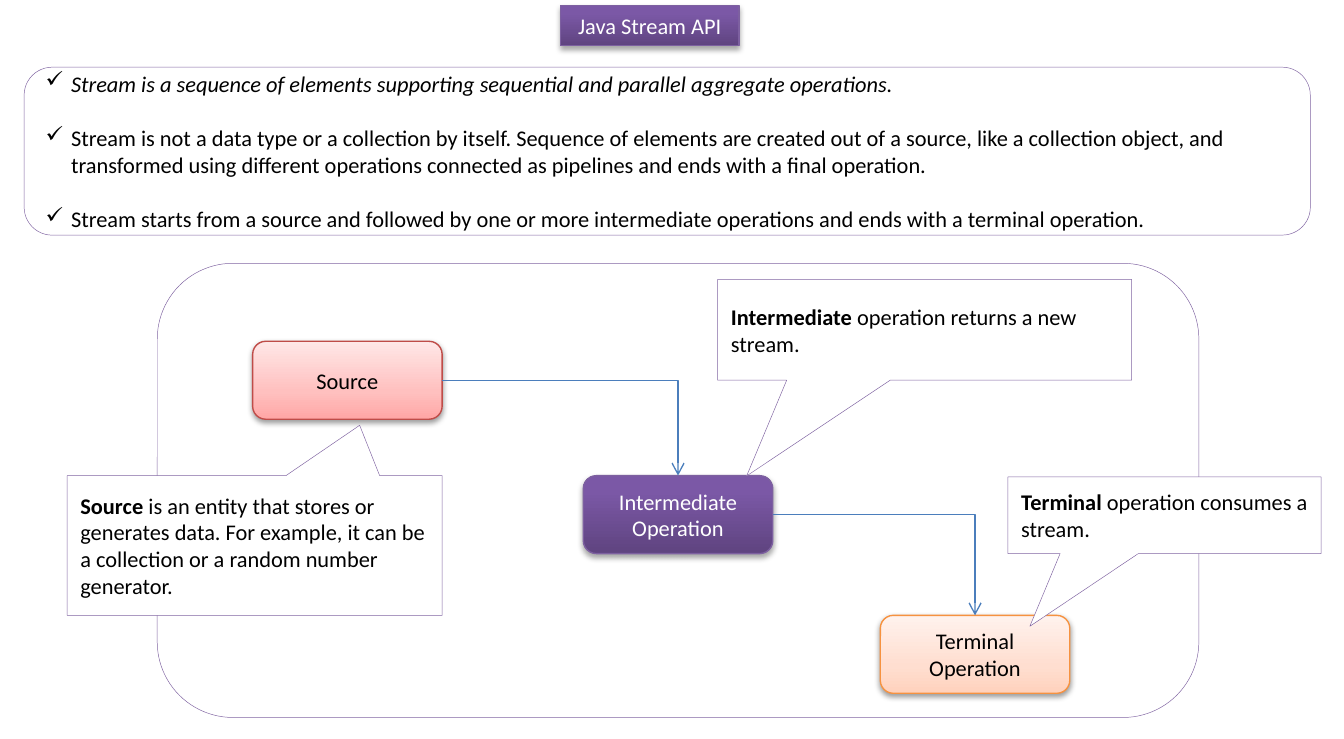
from lxml.etree import SubElement
from pptx import Presentation
from pptx.dml.color import RGBColor
from pptx.enum.shapes import MSO_CONNECTOR, MSO_SHAPE
from pptx.enum.text import MSO_ANCHOR, MSO_AUTO_SIZE, PP_ALIGN
from pptx.oxml.ns import qn
from pptx.util import Inches, Pt

COLORS = {
    "white": "FFFFFF",
    "black": "000000",
    "outline": "8064A2",
    "arrow": "4B7EBC",
}
# Each theme: gradient stops from bottom to top, line, text, shadow opacity and distance
THEMES = {
    "purple": ([(0, "5F4480"), (80, "7B58A6"), (100, "7C57A8")], "7D60A0", "white", 35, 1.8),
    "red": ([(0, "FFA6A5"), (35, "FFC0BF"), (100, "FFE7E7")], "BF4C48", "black", 38, 1.6),
    "orange": ([(0, "FFD2BD"), (35, "FFDED0"), (100, "FFF2ED")], "F69240", "black", 38, 1.6),
}


def add_text(paragraph, text, color="black", size=12, bold=False, italic=False):
    run = paragraph.add_run()
    run.text = text
    run.font.name = "Calibri"
    run.font.size = Pt(size)
    run.font.bold = bold
    run.font.italic = italic
    run.font.color.rgb = RGBColor.from_string(COLORS[color])


def add_color(parent, value, opacity=None):
    color = SubElement(parent, qn("a:srgbClr"), val=value)
    if opacity is not None:
        SubElement(color, qn("a:alpha"), val=str(opacity * 1000))


class SlideBuilder:
    font_size = 12
    outline_width = 0.25
    box_line_width = 0.75

    def __init__(self, slide):
        self.slide = slide

    def outlined(self, kind, left, top, width, height):
        """White shape with a hairline outline and left-aligned text."""
        shape = self.slide.shapes.add_shape(
            kind, Inches(left), Inches(top), Inches(width), Inches(height))
        shape.shadow.inherit = False
        shape.fill.solid()
        shape.fill.fore_color.rgb = RGBColor.from_string(COLORS["white"])
        shape.line.color.rgb = RGBColor.from_string(COLORS["outline"])
        shape.line.width = Pt(self.outline_width)
        shape.text_frame.word_wrap = True
        shape.text_frame.vertical_anchor = MSO_ANCHOR.MIDDLE
        shape.text_frame.paragraphs[0].alignment = PP_ALIGN.LEFT
        return shape

    def apply_theme(self, shape, theme, text):
        """Gradient, line, soft shadow and centred label."""
        stops, line_color, text_color, opacity, distance = THEMES[theme]
        shape.fill.gradient()
        shape.fill.gradient_angle = 90
        properties = shape.element.spPr
        stop_list = properties.find(qn("a:gradFill")).find(qn("a:gsLst"))
        for stop in list(stop_list):
            stop_list.remove(stop)
        for position, color in stops:
            add_color(SubElement(stop_list, qn("a:gs"), pos=str(position * 1000)), color)
        shape.line.color.rgb = RGBColor.from_string(line_color)
        shape.line.width = Pt(self.box_line_width)

        effects = properties.find(qn("a:effectLst"))
        if effects is None:
            effects = SubElement(properties, qn("a:effectLst"))
        shadow = SubElement(effects, qn("a:outerShdw"), blurRad=str(Pt(3.1)),
                            dist=str(Pt(distance)), dir="5400000", rotWithShape="0")
        add_color(shadow, COLORS["black"], opacity)

        frame = shape.text_frame
        frame.word_wrap = True
        frame.vertical_anchor = MSO_ANCHOR.MIDDLE
        frame.paragraphs[0].alignment = PP_ALIGN.CENTER
        add_text(frame.paragraphs[0], text, color=text_color, size=self.font_size)

    def title(self, text, left, top, width, height):
        title = self.slide.shapes.title
        title.left, title.top = Inches(left), Inches(top)
        title.width, title.height = Inches(width), Inches(height)
        self.apply_theme(title, "purple", text)
        title.text_frame.auto_size = MSO_AUTO_SIZE.NONE

    def stage(self, text, theme, left, top):
        shape = self.slide.shapes.add_shape(
            MSO_SHAPE.ROUNDED_RECTANGLE, Inches(left), Inches(top), Inches(1.41), Inches(0.58))
        shape.shadow.inherit = False
        self.apply_theme(shape, theme, text)
        return shape

    def arrow(self, start, end):
        """Elbow from the right side of one stage to the top of the next."""
        connector = self.slide.shapes.add_connector(MSO_CONNECTOR.ELBOW, 0, 0, 0, 0)
        connector.begin_connect(start, 3)
        connector.end_connect(end, 0)
        connector.line.color.rgb = RGBColor.from_string(COLORS["arrow"])
        connector.line.width = Pt(self.box_line_width)
        properties = connector.element.spPr
        properties.find(qn("a:prstGeom")).set("prst", "bentConnector2")
        SubElement(properties.find(qn("a:ln")), qn("a:tailEnd"), type="arrow")
        SubElement(properties, qn("a:effectLst"))

    def callout(self, term, text, place, tip):
        shape = self.outlined(MSO_SHAPE.RECTANGULAR_CALLOUT, *place)
        shape.adjustments[0], shape.adjustments[1] = tip
        paragraph = shape.text_frame.paragraphs[0]
        add_text(paragraph, term, size=self.font_size, bold=True)
        add_text(paragraph, " " + text, size=self.font_size)

    def checklist(self, items, place):
        frame = self.outlined(MSO_SHAPE.ROUNDED_RECTANGLE, *place).text_frame
        for index, (text, italic) in enumerate(items):
            paragraph = frame.add_paragraph() if index else frame.paragraphs[0]
            paragraph.alignment = PP_ALIGN.LEFT
            if index:
                paragraph.space_before = Pt(14.65)
            properties = paragraph._p.get_or_add_pPr()
            properties.set("marL", str(Inches(0.19)))
            properties.set("indent", str(-Inches(0.19)))
            SubElement(properties, qn("a:buChar"), char="✓")
            add_text(paragraph, text, size=self.font_size, italic=italic)


def main():
    presentation = Presentation()
    presentation.slide_width = Inches(10)
    presentation.slide_height = Inches(5.5)
    builder = SlideBuilder(presentation.slides.add_slide(presentation.slide_layouts[5]))

    # Title and pipeline frame
    builder.title("Java Stream API", 4.17, 0.04, 1.33, 0.3)
    builder.outlined(MSO_SHAPE.ROUNDED_RECTANGLE, 1.17, 1.96, 7.75, 3.38)

    # Pipeline stages and arrows
    source = builder.stage("Source", "red", 1.88, 2.54)
    intermediate = builder.stage("Intermediate Operation", "purple", 4.34, 3.54)
    terminal = builder.stage("Terminal Operation", "orange", 6.55, 4.58)
    builder.arrow(source, intermediate)
    builder.arrow(intermediate, terminal)

    # Explanations
    builder.callout("Source", "is an entity that stores or generates data. For example, "
                    "it can be a collection or a random number generator.",
                    (0.5, 3.54, 2.79, 1.04), (0.28, -0.86))
    builder.callout("Intermediate", "operation returns a new stream.",
                    (5.34, 2.08, 3.08, 0.75), (-0.43, 1.45))
    builder.callout("Terminal", "operation consumes a stream.",
                    (7.5, 3.55, 2.33, 0.57), (-0.43, 1.45))

    # Key facts
    builder.checklist([
        ("Stream is a sequence of elements supporting sequential and parallel "
         "aggregate operations.", True),
        ("Stream is not a data type or a collection by itself. Sequence of elements are "
         "created out of a source, like a collection object, and transformed using different "
         "operations connected as pipelines and ends with a final operation.", False),
        ("Stream starts from a source and followed by one or more intermediate operations "
         "and ends with a terminal operation.", False),
    ], (0.18, 0.5, 9.57, 1.25))

    presentation.save("out.pptx")


if __name__ == "__main__":
    main()
